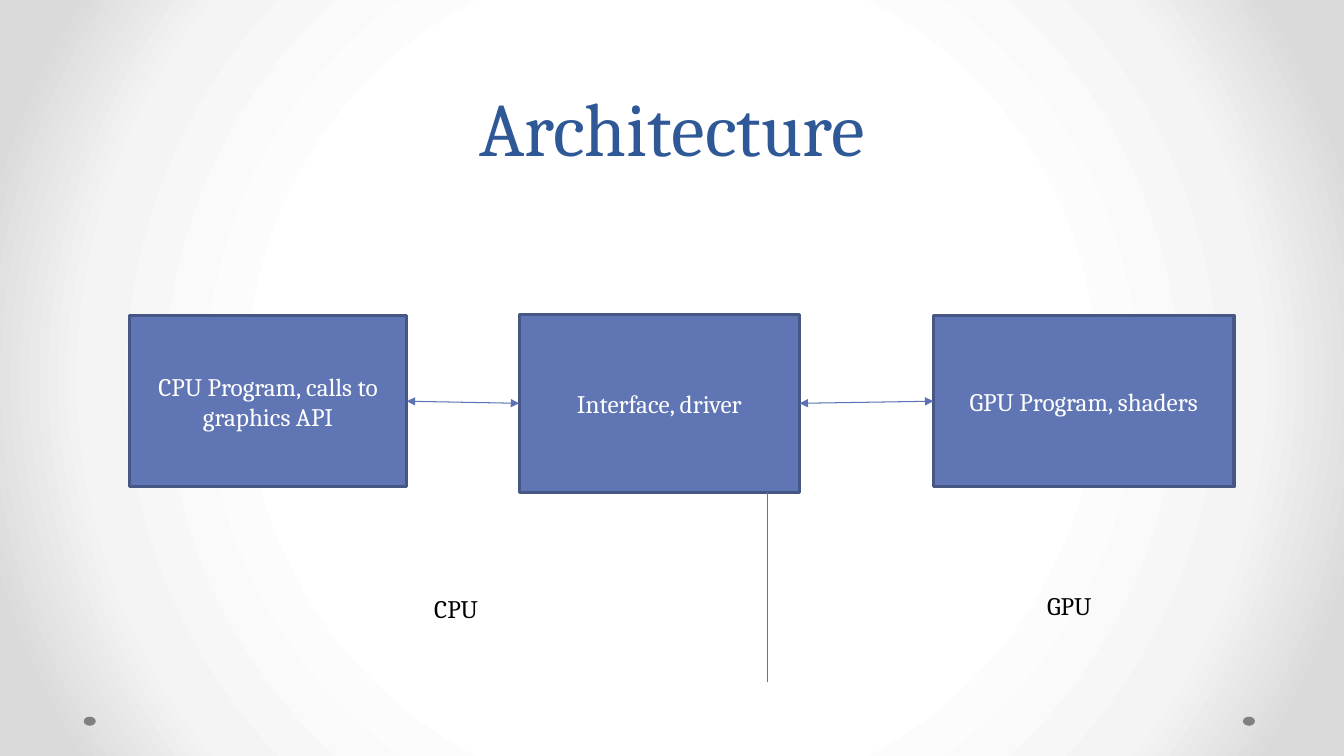
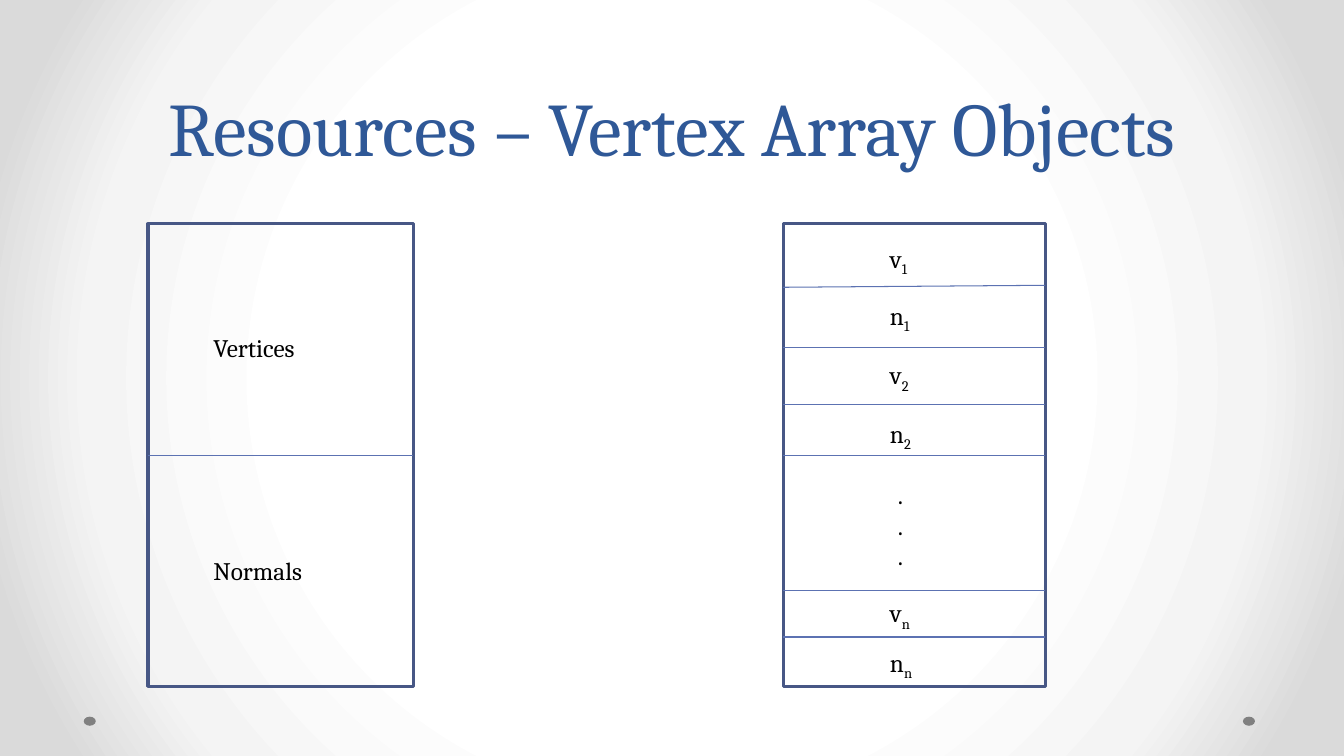
"""Build two slides on graphics architecture and vertex array objects."""
from dataclasses import dataclass

from lxml.etree import SubElement
from pptx import Presentation
from pptx.dml.color import RGBColor
from pptx.enum.shapes import MSO_CONNECTOR as CONN, MSO_SHAPE as SHAPE
from pptx.enum.text import MSO_ANCHOR as ANCHOR, MSO_AUTO_SIZE as AUTO, PP_ALIGN as ALIGN
from pptx.oxml import parse_xml
from pptx.oxml.ns import nsdecls, qn
from pptx.util import Pt


@dataclass(frozen=True)
class Theme:
    font: str = "Cambria"
    title: str = "2F5897"
    box: str = "6076B4"
    border: str = "475785"
    line: str = "5C72B2"
    text: str = "000000"
    light: str = "FFFFFF"
    dot: str = "808080"
    glow: tuple = ((50, "FFFFFF"), (76, "F4F4F4"), (92, "DADADA"))
    title_size: float = 54
    title_leading: float = 58
    body_size: float = 18
    border_width: float = 2.25
    line_width: float = 0.75


T = Theme()
SLIDE_SIZE = (960, 540)
TITLE_AT = (48, 0, 864, 126)
DOTS = [(887.8, 511.9, 8.6, 6.5), (59.8, 511.9, 8.6, 6.5)]
LABEL_H = 29.1

STAGES = [
    ("CPU Program, calls to graphics API", (92.4, 225.4, 198.2, 122.4)),
    ("Interface, driver", (370.8, 224.6, 200.4, 127)),
    ("GPU Program, shaders", (666.7, 225.4, 214.8, 122.4)),
]
BOUNDARY = (547.9, 351.8, 547.9, 487.4)
SIDES = [("CPU", (303.1, 420.5, 52.6, LABEL_H)),
         ("GPU", (740.9, 418.3, 53.3, LABEL_H))]

SEPARATE_AT = (105.8, 159.8, 189.4, 330.5)
SEPARATE = [("Vertices", (145.4, 234, 77.8, LABEL_H)),
            ("Normals", (145.4, 393.1, 85, LABEL_H))]

INTERLEAVED_AT = (559.4, 159.8, 187.2, 330.5)
ROW_LINES = [(205.2, 203.8), (248.4, 248.4), (288.7, 288.7),
             (421.9, 421.9), (455, 455)]
ENTRY_X, ENTRY_W = 628.6, 31.2
ENTRIES = [("v", "1", 169.9), ("n", "1", 211), ("v", "2", 253.4),
           ("n", "2", 295.2), ("v", "n", 423.4), ("n", "n", 458.6)]
ELLIPSIS_AT = (634.3, 339.1, 19.4, 72.7)


def rgb(value):
    return RGBColor.from_string(value)


def pts(values):
    return [Pt(v) for v in values]


def add_run(p, text, color=T.text, size=T.body_size, subscript=False):
    r = p.add_run()
    r.text = text
    r.font.name, r.font.size = T.font, Pt(size)
    r.font.color.rgb = rgb(color)
    if subscript:
        r._r.get_or_add_rPr().set("baseline", "-25000")


def add_shape(s, kind, at, fill=None, border=None):
    sp = s.shapes.add_shape(kind, *pts(at))
    sp.shadow.inherit = False
    if fill:
        sp.fill.solid()
        sp.fill.fore_color.rgb = rgb(fill)
    else:
        sp.fill.background()
    if border:
        sp.line.color.rgb = rgb(border)
        sp.line.width = Pt(T.border_width)
    else:
        sp.line.fill.background()
    return sp


def add_box(s, at, fill=None):
    return add_shape(s, SHAPE.RECTANGLE, at, fill, T.border)


def add_label(s, at, *paragraphs):
    """Add a text box; each paragraph is a (text, subscript) pair."""
    tf = s.shapes.add_textbox(*pts(at)).text_frame
    tf.word_wrap = False
    tf.auto_size = AUTO.SHAPE_TO_FIT_TEXT
    for i, (text, sub) in enumerate(paragraphs):
        p = tf.add_paragraph() if i else tf.paragraphs[0]
        add_run(p, text)
        if sub:
            add_run(p, sub, subscript=True)


def add_line(s, ends, arrows=False):
    line = s.shapes.add_connector(CONN.STRAIGHT, *pts(ends))
    line.line.color.rgb = rgb(T.line)
    line.line.width = Pt(T.line_width)
    if arrows:
        ln = line.line._get_or_add_ln()
        for end in ("a:headEnd", "a:tailEnd"):
            SubElement(ln, qn(end), type="triangle")
    SubElement(line._element.spPr, qn("a:effectLst"))
    return line


def join(s, start, start_side, end, end_side, arrows=False):
    line = add_line(s, (0, 0, 0, 0), arrows)
    line.begin_connect(start, start_side)
    line.end_connect(end, end_side)


def style_layout(prs, layout):
    """Give the layout its glowing background and two corner dots."""
    stops = "".join(f'<a:gs pos="{pos * 1000}"><a:srgbClr val="{c}"/></a:gs>'
                    for pos, c in T.glow)
    layout.element.cSld.insert(0, parse_xml(
        f'<p:bg {nsdecls("p", "a")}><p:bgPr><a:gradFill rotWithShape="1">'
        f'<a:gsLst>{stops}</a:gsLst><a:path path="circle">'
        '<a:fillToRect l="50000" t="50000" r="50000" b="50000"/></a:path>'
        '</a:gradFill><a:effectLst/></p:bgPr></p:bg>'))
    s = prs.slides[0]
    for at in DOTS:
        dot = add_shape(s, SHAPE.OVAL, at, T.dot)
        layout.element.cSld.spTree.append(dot._element)


def add_slide(prs, title):
    s = prs.slides.add_slide(prs.slide_layouts[5])
    sp = s.shapes.title
    sp.left, sp.top, sp.width, sp.height = pts(TITLE_AT)
    tf = sp.text_frame
    tf.word_wrap, tf.auto_size = True, AUTO.NONE
    tf.vertical_anchor = ANCHOR.BOTTOM
    p = tf.paragraphs[0]
    p.alignment, p.line_spacing = ALIGN.CENTER, Pt(T.title_leading)
    add_run(p, title, T.title, T.title_size)
    return s


def architecture(prs):
    s = add_slide(prs, "Architecture")
    boxes = []
    for text, at in STAGES:
        sp = add_box(s, at, T.box)
        tf = sp.text_frame
        tf.word_wrap, tf.vertical_anchor = True, ANCHOR.MIDDLE
        p = tf.paragraphs[0]
        p.alignment = ALIGN.CENTER
        add_run(p, text, T.light)
        boxes.append(sp)
    for left, right in zip(boxes, boxes[1:]):
        join(s, left, 3, right, 1, arrows=True)
    add_line(s, BOUNDARY)
    for text, at in SIDES:
        add_label(s, at, (text, ""))


def vertex_arrays(prs):
    s = add_slide(prs, "Resources – Vertex Array Objects")
    for at in (SEPARATE_AT, INTERLEAVED_AT):
        box = add_box(s, at)
        join(s, box, 1, box, 3)
    for text, at in SEPARATE:
        add_label(s, at, (text, ""))
    left, _, width, _ = INTERLEAVED_AT
    for y1, y2 in ROW_LINES:
        add_line(s, (left, y1, left + width, y2))
    for letter, index, y in ENTRIES:
        add_label(s, (ENTRY_X, y, ENTRY_W, LABEL_H), (letter, index))
    add_label(s, ELLIPSIS_AT, *[(".", "")] * 3)


def main():
    prs = Presentation()
    prs.slide_width, prs.slide_height = pts(SLIDE_SIZE)
    architecture(prs)
    vertex_arrays(prs)
    style_layout(prs, prs.slide_layouts[5])
    prs.save("out.pptx")


if __name__ == "__main__":
    main()
